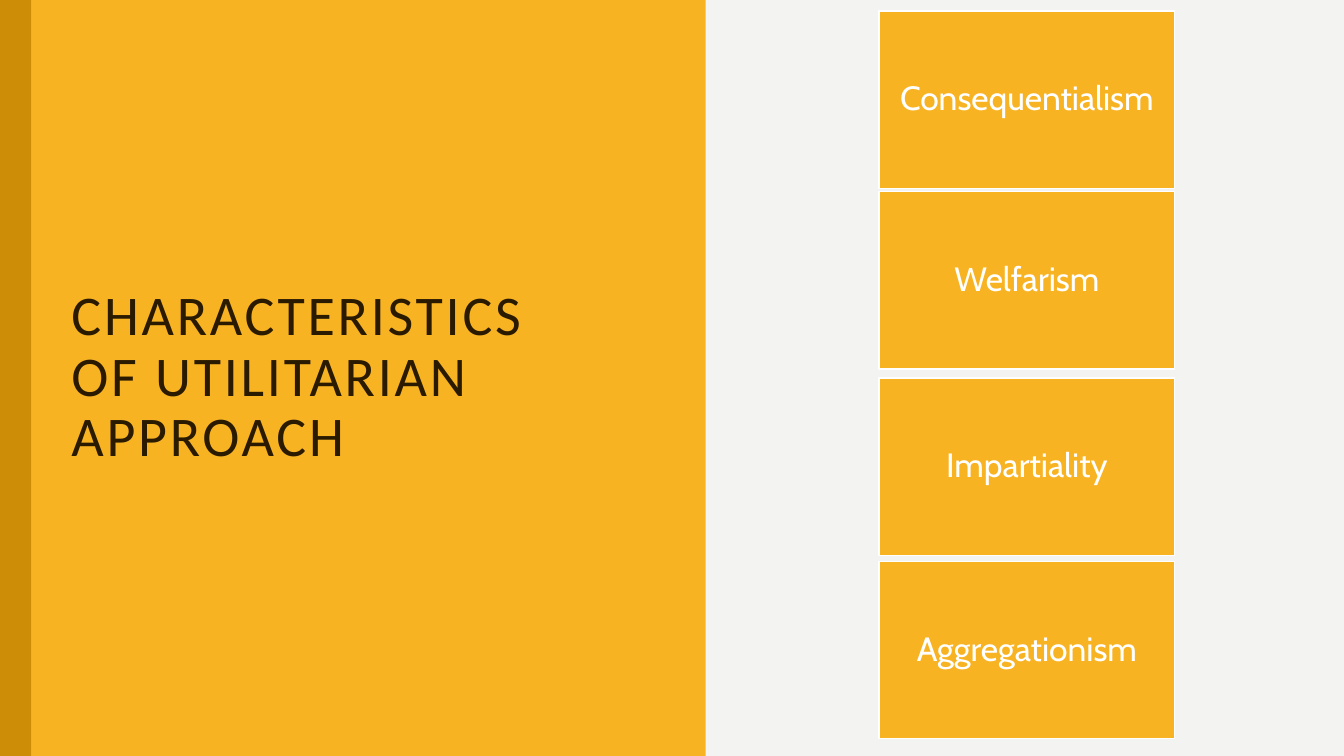
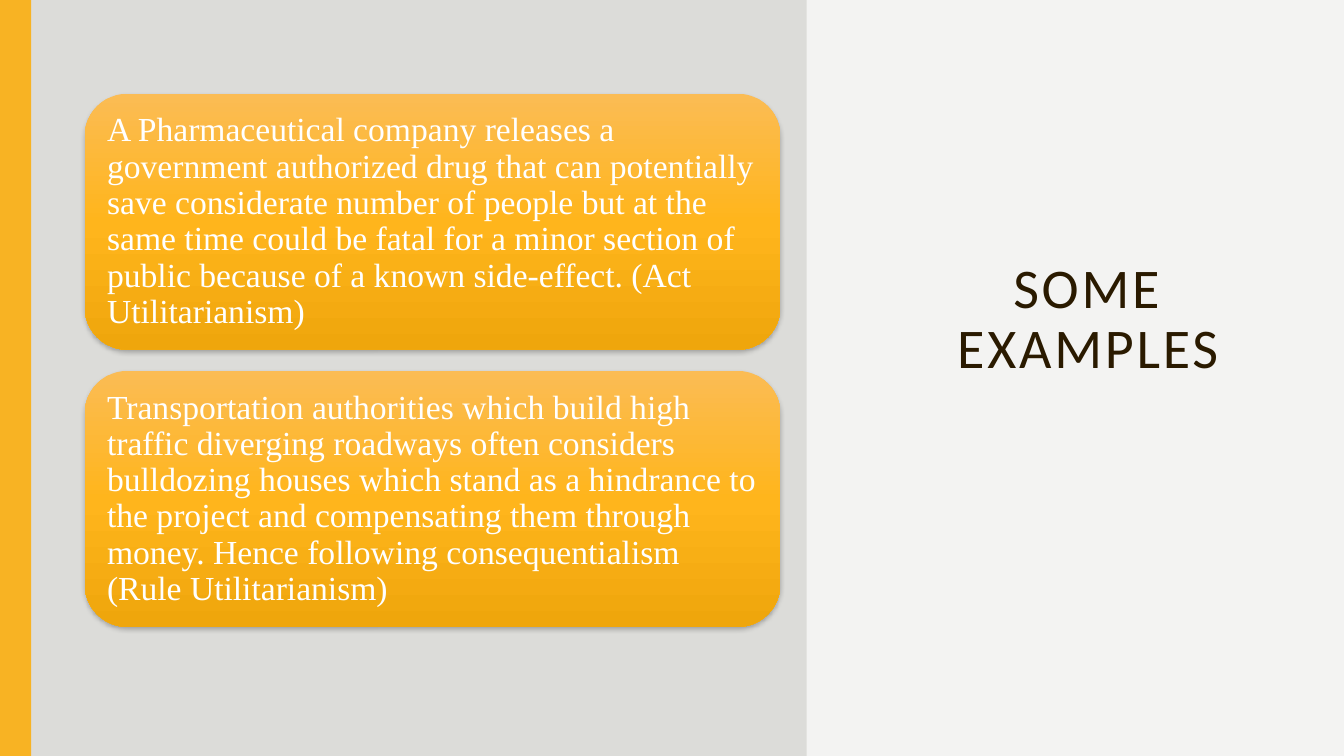
from copy import deepcopy

from lxml.etree import SubElement
from pptx import Presentation
from pptx.dml.color import RGBColor
from pptx.enum.shapes import MSO_SHAPE
from pptx.enum.text import MSO_ANCHOR, PP_ALIGN
from pptx.oxml.ns import qn
from pptx.util import Inches, Pt

WIDTH, HEIGHT = 13.33, 7.5
PAPER, GREY, WHITE, INK = "F3F3F2", "DCDCD9", "FFFFFF", "2A1A00"
AMBER, DARK_AMBER = "F8B323", "CE8D07"
AMBER_GRADIENT = [(0, "FBBC54"), (0.5, "FFB51C"), (1, "EFA60C")]

WAVE_PERIOD = 1.5
# Trough to crest of one wave: (offset to the right, distance down)
HALF_WAVE = [(0, 0), (0, 0.07), (0.01, 0.13), (0.03, 0.19), (0.04, 0.24),
             (0.06, 0.28), (0.08, 0.33), (0.1, 0.37), (0.12, 0.41),
             (0.15, 0.45), (0.16, 0.49), (0.18, 0.54), (0.19, 0.6),
             (0.2, 0.67), (0.2, 0.75)]


def rgb(value):
    return RGBColor.from_string(value)


class Deck:
    def __init__(self):
        self.prs = Presentation()
        self.prs.slide_width = Inches(WIDTH)
        self.prs.slide_height = Inches(HEIGHT)
        self.s = None

    def slide(self, panel_edge, panel_color, band_color):
        """Add a slide with a wavy left panel and a narrow side band."""
        self.s = self.prs.slides.add_slide(self.prs.slide_layouts[6])
        fill = self.s.background.fill
        fill.solid()
        fill.fore_color.rgb = rgb(PAPER)
        self.wavy_panel(panel_edge, panel_color)
        self.box(MSO_SHAPE.RECTANGLE, 0, 0, 0.31, HEIGHT, band_color)

    def wavy_panel(self, edge, color):
        wave = HALF_WAVE + [(dx, WAVE_PERIOD - dy) for dx, dy in HALF_WAVE[-2::-1]]
        points = [(edge + dx, i * WAVE_PERIOD + dy)
                  for i in range(int(HEIGHT / WAVE_PERIOD)) for dx, dy in wave]
        builder = self.s.shapes.build_freeform(0, 0, scale=Inches(1))
        builder.add_line_segments(points + [(0, HEIGHT)], close=True)
        self.paint(builder.convert_to_shape(), color)

    def paint(self, sp, color, line=None):
        sp.shadow.inherit = False
        sp.fill.solid()
        sp.fill.fore_color.rgb = rgb(color)
        if line:
            sp.line.color.rgb = rgb(line)
            sp.line.width = Pt(1)
        else:
            sp.line.fill.background()

    def box(self, kind, x, y, w, h, color, line=None):
        sp = self.s.shapes.add_shape(kind, Inches(x), Inches(y), Inches(w), Inches(h))
        self.paint(sp, color, line)
        return sp

    def set_text(self, sp, text, size, font, color, align, spacing=None, margin=0.1):
        tf = sp.text_frame
        tf.word_wrap = True
        tf.vertical_anchor = MSO_ANCHOR.MIDDLE
        tf.margin_left = tf.margin_right = Inches(0.1)
        tf.margin_top = tf.margin_bottom = Inches(margin)
        p = tf.paragraphs[0]
        p.text = text
        p.alignment = align
        p.line_spacing = 0.9
        for r in p.runs:
            r.font.size = Pt(size)
            r.font.name = font
            r.font.color.rgb = rgb(color)
            if spacing:
                r.font._element.set("spc", str(spacing * 100))

    def title(self, text, x, y, w, h, align):
        sp = self.s.shapes.add_textbox(Inches(x), Inches(y), Inches(w), Inches(h))
        self.set_text(sp, text, 40, "Calibri", INK, align, spacing=2, margin=0.05)

    def tile(self, text, x, y, w, h):
        sp = self.box(MSO_SHAPE.RECTANGLE, x, y, w, h, AMBER, WHITE)
        self.set_text(sp, text, 24, "Cabin", WHITE, PP_ALIGN.CENTER)

    def card(self, text, x, y, w, h):
        """Add a rounded card with a gradient and a soft shadow."""
        sp = self.box(MSO_SHAPE.ROUNDED_RECTANGLE, x, y, w, h, AMBER)
        self.shade(sp)
        self.drop_shadow(sp)
        self.set_text(sp, text, 24, "Times New Roman", WHITE, PP_ALIGN.LEFT)

    def shade(self, sp):
        sp.fill.gradient()
        sp.fill.gradient_angle = 270
        stops = sp._element.spPr.find(".//" + qn("a:gsLst"))
        stops.insert(1, deepcopy(stops[0]))
        for stop, (position, color) in zip(sp.fill.gradient_stops, AMBER_GRADIENT):
            stop.position = position
            stop.color.rgb = rgb(color)

    def drop_shadow(self, sp):
        effects = sp._element.spPr.find(qn("a:effectLst"))
        shadow = SubElement(effects, qn("a:outerShdw"), blurRad=str(Pt(3)),
                            dist=str(Pt(2)), dir="5400000", rotWithShape="0")
        color = SubElement(shadow, qn("a:srgbClr"), val="000000")
        SubElement(color, qn("a:alpha"), val="25000")


def characteristics(deck):
    deck.slide(6.68, AMBER, DARK_AMBER)
    deck.title("CHARACTERISTICS\vOF UTILITARIAN APPROACH",
               0.61, 1.27, 5.95, 4.96, PP_ALIGN.LEFT)
    tiles = [("Consequentialism", 0.11), ("Welfarism", 1.9),
             ("Impartiality", 3.75), ("Aggregationism", 5.57)]
    for text, top in tiles:
        deck.tile(text, 8.72, top, 2.93, 1.76)


def examples(deck):
    deck.slide(8.08, GREY, AMBER)
    deck.title("SOME\vEXAMPLES", 8.26, 0.53, 5.06, 5.3, PP_ALIGN.CENTER)
    cards = [
        "A Pharmaceutical company releases a government authorized drug that can "
        "potentially save considerate number of people but at the same time could be "
        "fatal for a minor section of public because of a known side-effect. "
        "(Act Utilitarianism)",
        "Transportation authorities which build high traffic diverging roadways often "
        "considers bulldozing houses which stand as a hindrance to the project and "
        "compensating them through money. Hence following consequentialism "
        "(Rule Utilitarianism)",
    ]
    for i, text in enumerate(cards):
        deck.card(text, 0.84, 0.93 + i * 2.75, 6.9, 2.54)


def main():
    deck = Deck()
    characteristics(deck)
    examples(deck)
    deck.prs.save("out.pptx")


if __name__ == "__main__":
    main()
